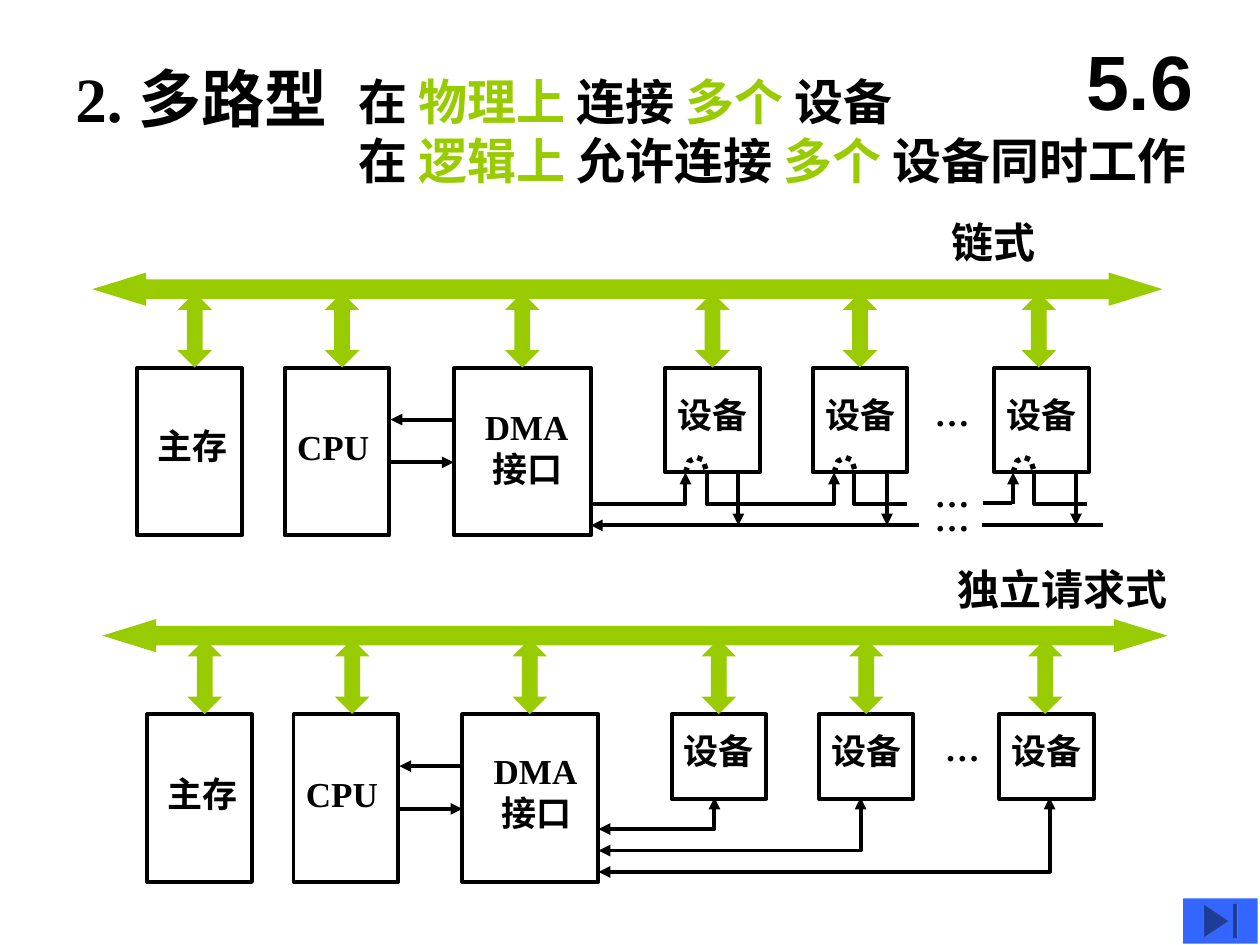
from lxml import etree
from pptx import Presentation
from pptx.dml.color import RGBColor
from pptx.enum.dml import MSO_LINE
from pptx.enum.shapes import MSO_CONNECTOR, MSO_SHAPE
from pptx.enum.text import MSO_ANCHOR, PP_ALIGN
from pptx.oxml.ns import qn
from pptx.util import Inches, Pt

RECT = MSO_SHAPE.RECTANGLE
BUS = MSO_SHAPE.LEFT_RIGHT_ARROW
LINK = MSO_SHAPE.UP_DOWN_ARROW
BUTTON = MSO_SHAPE.ACTION_BUTTON_END
STRAIGHT = MSO_CONNECTOR.STRAIGHT
DOTTED = MSO_LINE.ROUND_DOT
MIDDLE = MSO_ANCHOR.MIDDLE
CENTER = PP_ALIGN.CENTER

COLORS = {"text": "000000", "line": "000000", "green": "99CC00", "button": "3366FF"}
RGB = {name: RGBColor.from_string(value) for name, value in COLORS.items()}

prs = Presentation()
prs.slide_width, prs.slide_height = Inches(10), Inches(7.5)
s = prs.slides.add_slide(prs.slide_layouts[6])


def add_text(x, y, w, h, paragraphs, size, name="Times New Roman"):
    """Add bold text; each paragraph is a list of (text, colour name) runs."""
    tf = s.shapes.add_textbox(Inches(x), Inches(y), Inches(w), Inches(h)).text_frame
    tf.word_wrap = True
    font = {"name": name, "size": Pt(size), "bold": True}
    for i, runs in enumerate(paragraphs):
        p = tf.add_paragraph() if i else tf.paragraphs[0]
        for text, color in runs:
            r = p.add_run()
            r.text = text
            for key, value in font.items():
                setattr(r.font, key, value)
            r.font.color.rgb = RGB[color]
    return tf


def add_path(points, ends="", width=2.25, dash=None):
    """Draw a line through the points, with arrowheads at the ends named."""
    pts = [(Inches(x), Inches(y)) for x, y in points]
    if len(pts) == 2:
        sp = s.shapes.add_connector(STRAIGHT, *pts[0], *pts[1])
        etree.SubElement(sp._element.spPr, qn("a:effectLst"))
    else:
        builder = s.shapes.build_freeform(*pts[0], scale=1.0)
        builder.add_line_segments(pts[1:], close=False)
        sp = builder.convert_to_shape()
        sp.shadow.inherit = False
        sp.fill.background()
    sp.line.color.rgb = RGB["line"]
    sp.line.width = Pt(width)
    if dash:
        sp.line.dash_style = dash
    for end in ends.split():
        etree.SubElement(sp._element.spPr.find(qn("a:ln")), qn(f"a:{end}"), type="triangle")


# Headings
add_text(0.5, 0.42, 2.29, 1.3, [[("2. 多路型", "text")]], 36)
add_text(2.75, 0.52, 7.25, 1.04, [
    [("在 ", "text"), ("物理上 ", "green"), ("连接 ", "text"),
     ("多个 ", "green"), ("设备", "text")],
    [("在 ", "text"), ("逻辑上 ", "green"), ("允许连接 ", "text"),
     ("多个 ", "green"), ("设备同时工作", "text")],
], 28)
tf = add_text(8.42, 0.17, 1.25, 0.92, [[("5.6", "text")]], 44, name="Arial")
tf.vertical_anchor = MIDDLE
tf.paragraphs[0].alignment = CENTER

# Parts shared by both diagrams: buses, links, boxes and CPU-DMA lines
diagrams = [
    {"title": ("链式", 7.45, 1.34), "top": 2.17, "bus": (0.75, 8.46),
     "boxes": (1.09, 2.26, 3.6), "dma_w": 1.09, "devices": (5.28, 6.45, 7.89),
     "device_h": 0.83, "links": (1.42, 2.59, 4.02, 5.53, 6.7, 8.12),
     "label_y": {"主存": 3.32, "CPU": 3.33, "DMA": 3.17, "设备": 3.07},
     "dots": (7.32, 3.06)},
    {"title": ("独立请求式", 7.5, 2.5), "top": 4.92, "bus": (0.83, 8.42),
     "boxes": (1.17, 2.33, 3.67), "dma_w": 1.08, "devices": (5.33, 6.5, 7.93),
     "device_h": 0.67, "links": (1.5, 2.67, 4.08, 5.58, 6.75, 8.17),
     "label_y": {"主存": 6.08, "CPU": 6.08, "DMA": 5.9, "设备": 5.74},
     "dots": (7.4, 5.72)},
]
for d in diagrams:
    top = d["top"]
    title, x, w = d["title"]
    add_text(x, top - 0.5, w, 0.5, [[(title, "text")]], 24)

    memory, cpu, dma = d["boxes"]
    boxes = [("主存", memory, 0.06, 0.83, 1.33), ("CPU", cpu, 0, 0.83, 1.33),
             ("DMA", dma, 0.15, d["dma_w"], 1.33)]
    boxes += [("设备", x, 0, 0.75, d["device_h"]) for x in d["devices"]]
    for label, x, indent, w, h in boxes:
        sp = s.shapes.add_shape(RECT, Inches(x), Inches(top + 0.75), Inches(w), Inches(h))
        sp.shadow.inherit = False
        sp.fill.background()
        sp.line.color.rgb = RGB["line"]
        sp.line.width = Pt(2.25)
        lines = [[(label, "text")]]
        if label == "DMA":
            lines.append([(" 接口", "text")])
        text_w, text_h = (1, 0.77) if label == "DMA" else (0.9, 0.44)
        add_text(x + indent, d["label_y"][label], text_w, text_h, lines, 20)

    arrows = [(BUS, d["bus"][0], top, d["bus"][1], 0.25, (0.58, 1.62))]
    arrows += [(LINK, x, top + 0.16, 0.25, 0.58, (0.5, 0.46)) for x in d["links"]]
    for kind, x, y, w, h, adjustments in arrows:
        sp = s.shapes.add_shape(kind, Inches(x), Inches(y), Inches(w), Inches(h))
        sp.shadow.inherit = False
        for i, value in enumerate(adjustments):
            sp.adjustments[i] = value
        sp.fill.solid()
        sp.fill.fore_color.rgb = RGB["green"]
        sp.line.color.rgb = RGB["green"]
        sp.line.width = Pt(0.75)
        etree.SubElement(sp._element.spPr.find(qn("a:ln")), qn("a:miter"), lim="800000")

    cpu_right = cpu + 0.84
    add_path([(cpu_right, top + 1.5), (dma, top + 1.5)], "tailEnd")
    add_path([(dma, top + 1.16), (cpu_right, top + 1.16)], "tailEnd")
    add_text(*d["dots"], 0.6, 0.44, [[("…", "text")]], 20)

# Daisy chain through the devices, with a shared return line
bottom, chain_y, return_y = 3.75, 4, 4.17
add_path([(4.69, chain_y), (5.44, chain_y), (5.44, bottom)], "tailEnd")
add_path([(5.61, bottom), (5.61, chain_y), (6.62, chain_y), (6.62, bottom)], "tailEnd")
for x in (6.78, 8.21):
    add_path([(x, bottom), (x, chain_y), (x + 0.42, chain_y)])
add_path([(7.8, 3.99), (8.03, 3.99)])
add_path([(8.04, chain_y), (8.04, bottom)], "tailEnd")
add_path([(7.29, return_y), (4.69, return_y)], "tailEnd")
add_path([(7.79, return_y), (8.75, return_y)])
for x in (5.86, 7.04, 8.54):
    add_path([(x, bottom), (x, return_y)], "tailEnd")
for x in (5.44, 6.62, 8.04):
    arc = [(0, 0), (0.03, -0.09), (0.09, -0.12), (0.14, -0.1), (0.17, 0)]
    add_path([(x + dx, bottom + dy) for dx, dy in arc], width=3, dash=DOTTED)
for y in (3.89, 3.7):
    add_text(7.32, y, 1.5, 0.44, [[("…", "text")]], 20)

# Independent request lines, one for each device
for x, y in ((5.67, 6.58), (6.83, 6.75), (8.33, 6.92)):
    add_path([(4.75, y), (x, y), (x, 6.33)], "headEnd tailEnd")

# Navigation button
sp = s.shapes.add_shape(BUTTON, Inches(9.39), Inches(7.13), Inches(0.59), Inches(0.36))
sp.shadow.inherit = False
sp.fill.solid()
sp.fill.fore_color.rgb = RGB["button"]
sp.line.fill.background()

prs.save("out.pptx")
